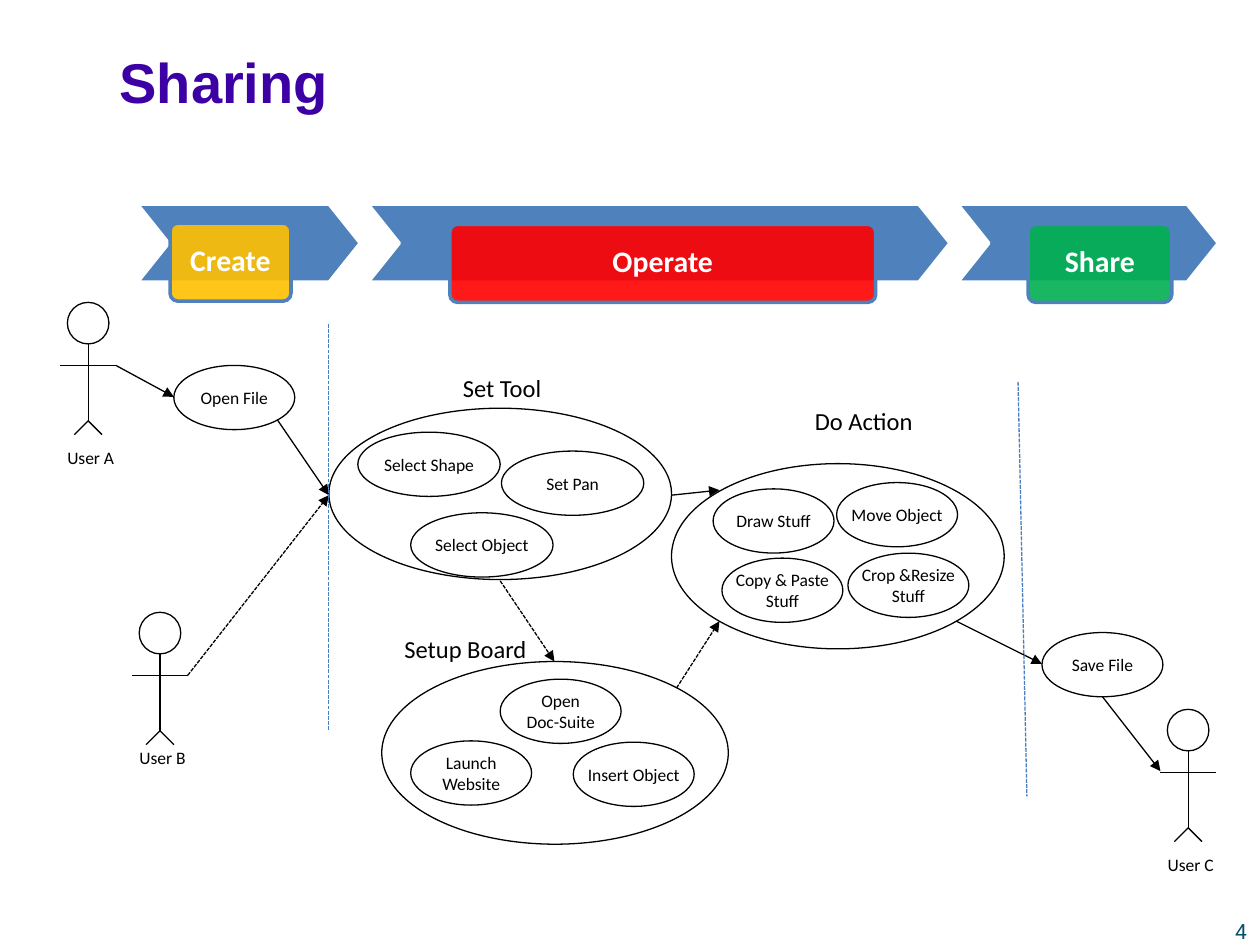
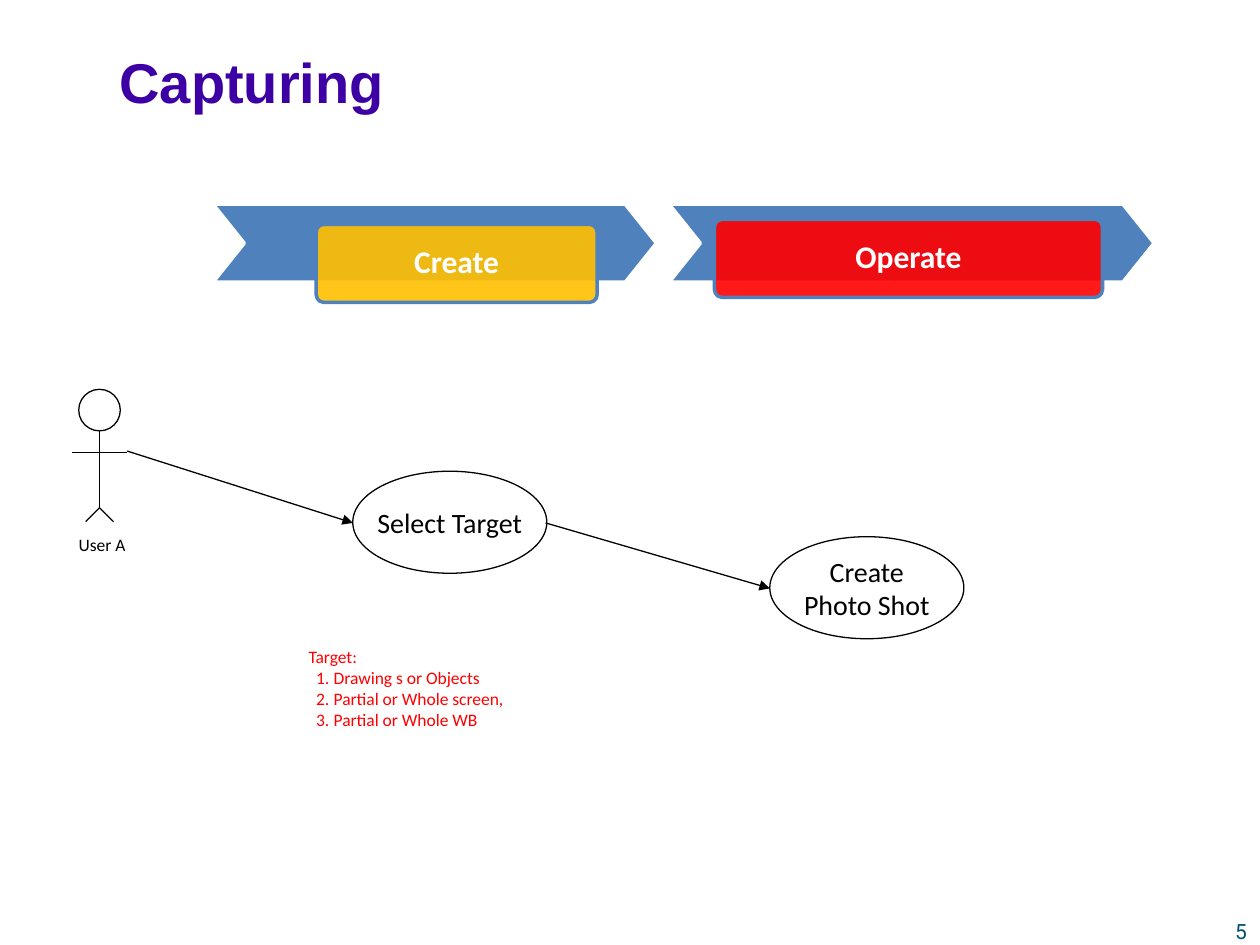
from lxml.etree import SubElement
from pptx import Presentation
from pptx.dml.color import RGBColor
from pptx.enum.dml import MSO_LINE
from pptx.enum.shapes import MSO_CONNECTOR, MSO_SHAPE
from pptx.enum.text import MSO_ANCHOR, PP_ALIGN
from pptx.oxml.ns import qn
from pptx.util import Inches, Pt

WHITE = RGBColor(0xFF, 0xFF, 0xFF)
BLACK = RGBColor(0, 0, 0)
PURPLE = RGBColor(0x3D, 0x00, 0xA4)
TEAL = RGBColor(0x00, 0x50, 0x6E)
BLUE = RGBColor(0x4F, 0x81, 0xBD)
RULE = RGBColor(0x4B, 0x7E, 0xBC)
GOLD = RGBColor(0xFF, 0xC0, 0x00)
RED = RGBColor(0xFF, 0x00, 0x00)
GREEN = RGBColor(0x00, 0xB0, 0x50)
BODY = "Calibri"
THIN = 0.75
OVAL = (0.96, 0.51)
WIDE = (1.13, 0.51)
LARGE = (1.54, 0.81)


def write(frame, text, size, color=BLACK, face=BODY, bold=False, align=PP_ALIGN.CENTER):
    lines = text.split("\n")
    for index, line in enumerate(lines):
        para = frame.paragraphs[0] if index == 0 else frame.add_paragraph()
        para.text = line
        para.alignment = align
        para.font.size = Pt(size)
        para.font.name = face
        para.font.bold = bold
        para.font.color.rgb = color
    return frame.paragraphs


def label(shapes, box, text, size, anchor=MSO_ANCHOR.TOP, **style):
    frame = shapes.add_textbox(*map(Inches, box)).text_frame
    frame.word_wrap = True
    frame.vertical_anchor = anchor
    return write(frame, text, size, **style)


def form(shapes, kind, box, color=BLACK, width=THIN, fill=None):
    shape = shapes.add_shape(kind, *map(Inches, box))
    shape.shadow.inherit = False
    shape.line.color.rgb = color
    shape.line.width = Pt(width)
    if fill is None:
        shape.fill.background()
    else:
        shape.fill.solid()
        shape.fill.fore_color.rgb = fill
    return shape


def oval(shapes, spot, size, text, points=10):
    frame = form(shapes, MSO_SHAPE.OVAL, spot + size).text_frame
    frame.word_wrap = False
    frame.vertical_anchor = MSO_ANCHOR.MIDDLE
    write(frame, text, points)


def line(shapes, start, end, color=BLACK, dash=False, arrow=False):
    link = shapes.add_connector(MSO_CONNECTOR.STRAIGHT, *map(Inches, start + end))
    link.line.color.rgb = color
    link.line.width = Pt(THIN)
    if dash:
        link.line.dash_style = MSO_LINE.SQUARE_DOT
    props = link._element.spPr
    if arrow:
        SubElement(props.find(qn("a:ln")), qn("a:tailEnd"), type="triangle")
    SubElement(props, qn("a:effectLst"))


def actor(slide, mid, top, name, gap=1.1):
    shapes = slide.shapes.add_group_shape().shapes
    hip = (mid, top + 0.94)
    form(shapes, MSO_SHAPE.OVAL, (mid - 0.165, top, 0.33, 0.33))
    line(shapes, (mid - 0.22, top + 0.5), (mid + 0.22, top + 0.5))
    line(shapes, (mid, top + 0.33), hip)
    for side in (-0.11, 0.11):
        line(shapes, hip, (mid + side, top + 1.05))
    label(shapes, (mid - 0.45, top + gap, 0.94, 0.27), name, 10)


def stage(slide, left, width, card, text, color, size):
    top, tall = 1.62, 0.62
    shapes = slide.shapes.add_group_shape().shapes
    arrow = form(shapes, MSO_SHAPE.CHEVRON, (left, top, width, tall), WHITE, 2, BLUE)
    arrow.adjustments[0] = 0.4
    inset, drop, span = card
    box = (left + inset, top + drop, span, tall)
    plate = form(shapes, MSO_SHAPE.ROUNDED_RECTANGLE, box, BLUE, 2, color)
    plate.adjustments[0] = 0.1
    tint = plate._element.spPr.find(qn("a:solidFill"))[0]
    SubElement(tint, qn("a:alpha"), val="90000")
    plate.text_frame.vertical_anchor = MSO_ANCHOR.MIDDLE
    write(plate.text_frame, text, size, WHITE, bold=True)[0].line_spacing = 0.9


def cluster(slide, box, name, shift, size, items):
    left, top = box[:2]
    form(slide.shapes, MSO_SHAPE.OVAL, box)
    label(slide.shapes, (left + shift[0], top + shift[1], 1.93, 0.34), name, 14)
    for right, down, text in items:
        oval(slide.shapes, (left + right, top + down), size, text)


def notes(slide, box, head, items):
    text = "\n".join([head] + items)
    paras = label(slide.shapes, box, text, 10, color=RED, align=PP_ALIGN.LEFT)
    for para in paras[1:]:
        props = para._p.get_or_add_pPr()
        props.set("marL", str(Inches(0.2)))
        props.set("indent", str(Inches(-0.14)))
        mark = SubElement(props, qn("a:buAutoNum"), type="arabicPeriod")
        props.remove(mark)
        props.insert_element_before(mark, "a:tabLst", "a:defRPr", "a:extLst")


def page(deck, title, number):
    slide = deck.slides.add_slide(deck.slide_layouts[6])
    label(slide.shapes, (9.57, 7.24, 0.56, 0.23), str(number), 12, color=TEAL, face="Roboto")
    label(slide.shapes, (0.85, 0.24, 8.65, 0.8), title, 32, MSO_ANCHOR.MIDDLE,
          color=PURPLE, face="Arial", bold=True, align=PP_ALIGN.LEFT)
    return slide


def sharing(deck):
    slide = page(deck, "Sharing", 4)
    shapes = slide.shapes
    for mid, top, name, gap in (
        (1.27, 4.86, "User B", 1.02),
        (0.7, 2.4, "User A", 1.1),
        (9.43, 5.63, "User C", 1.1),
    ):
        actor(slide, mid, top, name, gap)
    oval(shapes, (1.38, 2.9), OVAL, "Open File")
    oval(shapes, (8.27, 5.02), OVAL, "Save File")
    cluster(slide, (2.61, 3.24, 2.72, 1.36), "Set Tool", (0.41, -0.33), WIDE, (
        (0.23, 0.19, "Select Shape"),
        (1.37, 0.34, "Set Pan"),
        (0.65, 0.83, "Select Object"),
    ))
    cluster(slide, (5.33, 3.68, 2.64, 1.47), "Do Action", (0.56, -0.51), OVAL, (
        (0.33, 0.2, "Draw Stuff"),
        (1.31, 0.15, "Move Object"),
        (0.4, 0.75, "Copy & Paste\nStuff"),
        (1.4, 0.71, "Crop &Resize\nStuff"),
    ))
    cluster(slide, (3.03, 5.25, 2.75, 1.45), "Setup Board", (-0.3, -0.27), OVAL, (
        (0.23, 0.63, "Launch\nWebsite"),
        (0.94, 0.14, "Open\nDoc-Suite"),
        (1.52, 0.64, "Insert Object"),
    ))
    for start, end, dash in (
        ((0.92, 2.9), (1.38, 3.15), False),
        ((2.2, 3.33), (2.61, 3.93), False),
        ((5.33, 3.93), (5.71, 3.89), False),
        ((7.59, 4.93), (8.27, 5.27), False),
        ((8.75, 5.53), (9.21, 6.12), False),
        ((1.49, 5.36), (2.61, 3.93), True),
        ((3.97, 4.61), (4.4, 5.25), True),
        ((5.37, 5.46), (5.71, 4.93), True),
    ):
        line(shapes, start, end, dash=dash, arrow=True)
    stage(slide, 1.09, 1.77, (0.26, 0.15, 0.96), "Create", GOLD, 17)
    stage(slide, 2.92, 4.62, (0.65, 0.16, 3.38), "Operate", RED, 17)
    stage(slide, 7.6, 2.07, (0.56, 0.16, 1.14), "Share", GREEN, 17)
    line(shapes, (2.61, 2.57), (2.61, 5.8), RULE, dash=True)
    line(shapes, (8.08, 3.03), (8.15, 6.32), RULE, dash=True)


def capture(deck):
    slide = page(deck, "Capturing", 5)
    shapes = slide.shapes
    actor(slide, 0.79, 3.09, "User A")
    oval(shapes, (2.8, 3.74), LARGE, "Select Target", 16)
    oval(shapes, (6.11, 4.26), LARGE, "Create\nPhoto Shot", 16)
    line(shapes, (1.01, 3.58), (2.8, 4.15), arrow=True)
    line(shapes, (4.33, 4.15), (6.11, 4.67), arrow=True)
    stage(slide, 1.69, 3.52, (0.82, 0.16, 2.23), "Create", GOLD, 18)
    stage(slide, 5.31, 3.85, (0.36, 0.12, 3.08), "Operate", RED, 18)
    notes(slide, (2.35, 5.08, 1.98, 0.94), "Target:", [
        "Drawing s or Objects",
        "Partial or Whole screen,",
        "Partial or Whole WB",
    ])


def main():
    deck = Presentation()
    deck.slide_width, deck.slide_height = Inches(10), Inches(7.5)
    sharing(deck)
    capture(deck)
    deck.save("out.pptx")


if __name__ == "__main__":
    main()
